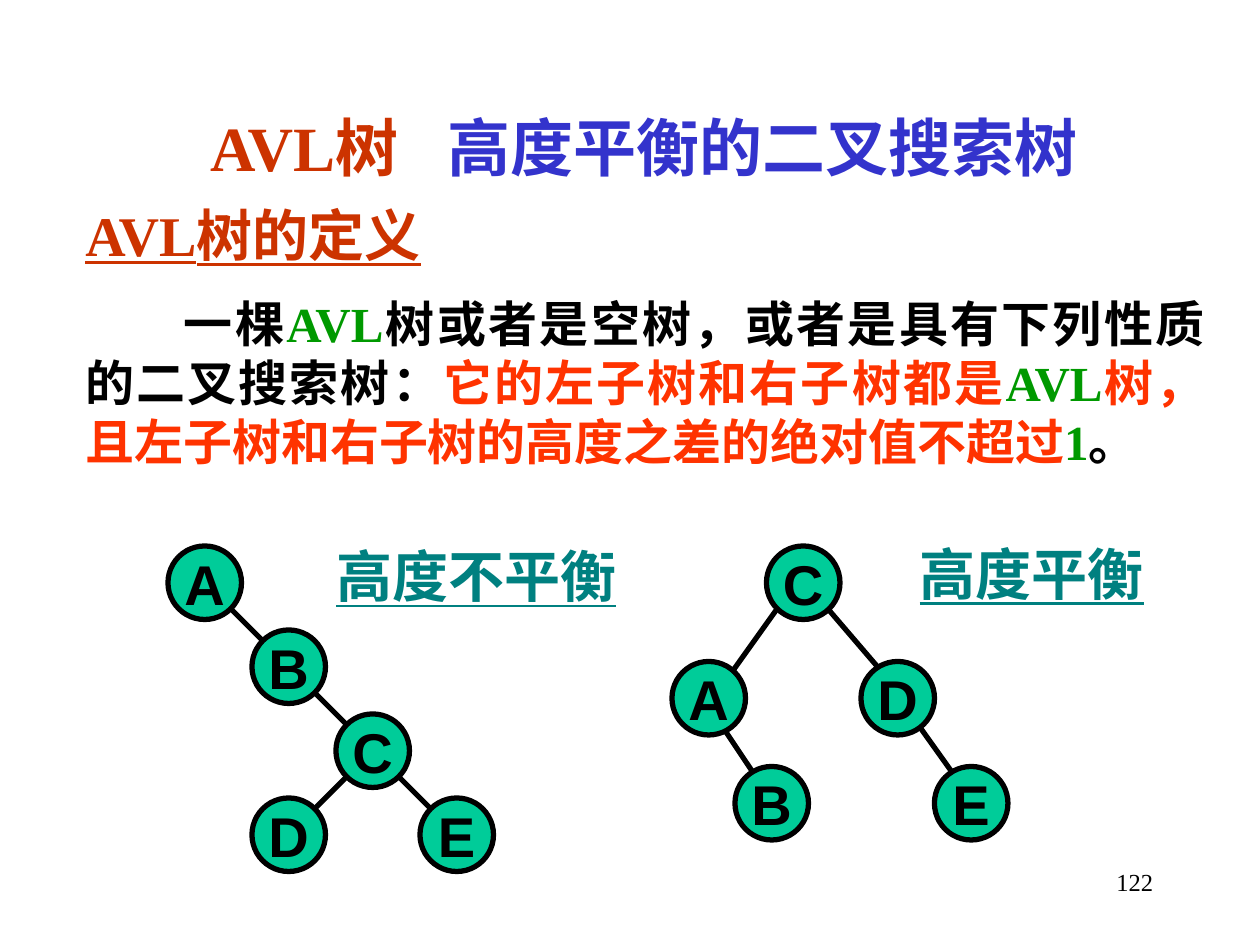
"""Build a slide that defines AVL trees and shows an unbalanced and a balanced tree."""
import pptx
import pptx.util
import pptx.dml.color
import pptx.enum.shapes
import pptx.enum.text
import lxml.etree

Inches, Pt = pptx.util.Inches, pptx.util.Pt
Align = pptx.enum.text.PP_ALIGN
Anchor = pptx.enum.text.MSO_ANCHOR
Kind = pptx.enum.shapes.MSO_SHAPE
Link = pptx.enum.shapes.MSO_CONNECTOR
NS = "{http://schemas.openxmlformats.org/drawingml/2006/main}"
SERIF = "Times New Roman"
UNIT = Inches(10) // 120
NODE = 7 * UNIT


def hue(code):
    return pptx.dml.color.RGBColor.from_string(code)


def style(run, size, name, code, bold=True, under=False):
    font = run.font
    font.size, font.name, font.bold = Pt(size), name, bold
    font.color.rgb = hue(code)
    if under:
        font.underline = True


deck = pptx.Presentation()
deck.slide_width, deck.slide_height = Inches(10), Inches(7.5)
slide = deck.slides.add_slide(deck.slide_layouts[6])

texts = [
    ((0.95, 0.91, 8.08, 0.5), 36, Align.JUSTIFY, Anchor.MIDDLE, 0.62, 2.42, True, False,
     [("AVL树\t", "CC3300"), ("高度平衡的二叉搜索树", "3333CC")]),
    ((0.58, 1.54, 3.11, 0.63), 32, Align.LEFT, Anchor.TOP, 0, 0, True, True,
     [("AVL树的定义", "CC3300")]),
    ((0.58, 2.28, 9.08, 1.51), 28, Align.JUSTIFY, Anchor.TOP, 0.78, 0, True, False,
     [("一棵", "000000"), ("AVL", "009900"),
      ("树或者是空树，或者是具有下列性质的二叉搜索树：", "000000"),
      ("它的左子树和右子树都是", "FF3300"), ("AVL", "009900"),
      ("树，且左子树和右子树的高度之差的绝对值不超过", "FF3300"),
      ("1", "009900"), ("。", "000000")]),
    ((2.5, 4.25, 2.55, 0.63), 32, Align.LEFT, Anchor.TOP, 0.07, 0, True, True,
     [("高度不平衡", "008080")]),
    ((7.2, 4.23, 2, 0.63), 32, Align.LEFT, Anchor.TOP, 0, 0, True, True,
     [("高度平衡", "008080")]),
    ((7.17, 6.83, 2.08, 0.5), 14, Align.RIGHT, Anchor.TOP, 0, 0, False, False,
     [("122", "000000")]),
]
for place, size, align, anchor, indent, tab, bold, under, parts in texts:
    frame = slide.shapes.add_textbox(*map(Inches, place)).text_frame
    frame.word_wrap, frame.vertical_anchor = True, anchor
    para = frame.paragraphs[0]
    para.alignment = align
    props = para._p.get_or_add_pPr()
    if indent:
        props.set("marL", "0")
        props.set("indent", str(Inches(indent)))
    if tab:
        stops = lxml.etree.SubElement(props, NS + "tabLst")
        lxml.etree.SubElement(stops, NS + "tab", pos=str(Inches(tab)), algn="l")
    for words, code in parts:
        run = para.add_run()
        run.text = words
        style(run, size, SERIF, code, bold, under)

edges = [
    (20, 56, 26, 62), (28, 64, 34, 70), (34, 73, 28, 79), (36, 72, 42, 78),
    (74, 58, 69, 65), (78, 57, 84, 64), (68, 68, 72, 74), (86, 67, 91, 74),
]
for edge in edges:
    line = slide.shapes.add_connector(Link.STRAIGHT, *(n * UNIT for n in edge))
    line.line.color.rgb, line.line.width = hue("000000"), Pt(3)
    lxml.etree.SubElement(line._element.spPr, NS + "effectLst")

nodes = [
    ("A", 16, 52), ("B", 24, 60), ("C", 32, 68), ("D", 24, 76), ("E", 40, 76),
    ("C", 73, 52), ("A", 64, 63), ("D", 82, 63), ("B", 70, 73), ("E", 89, 73),
]
for name, col, row in nodes:
    node = slide.shapes.add_shape(Kind.OVAL, col * UNIT, row * UNIT, NODE, NODE)
    node.shadow.inherit = False
    node.fill.solid()
    node.fill.fore_color.rgb = hue("00CC99")
    node.line.color.rgb, node.line.width = hue("000000"), Pt(3)
    frame = node.text_frame
    frame.text = name
    frame.word_wrap, frame.vertical_anchor = False, Anchor.MIDDLE
    para = frame.paragraphs[0]
    para.alignment = Align.CENTER
    style(para.runs[0], 32, "Arial", "000000")

deck.save("out.pptx")
